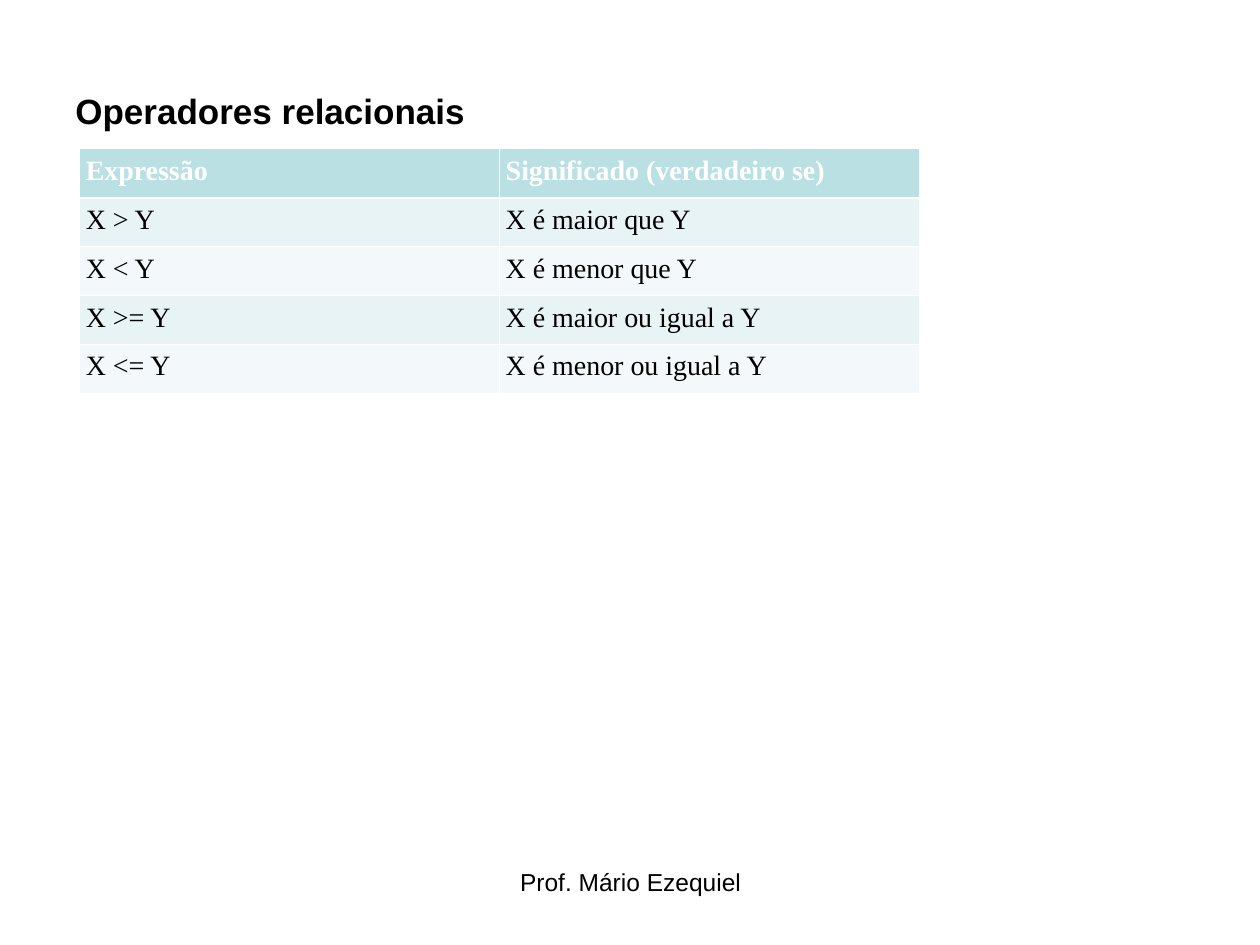
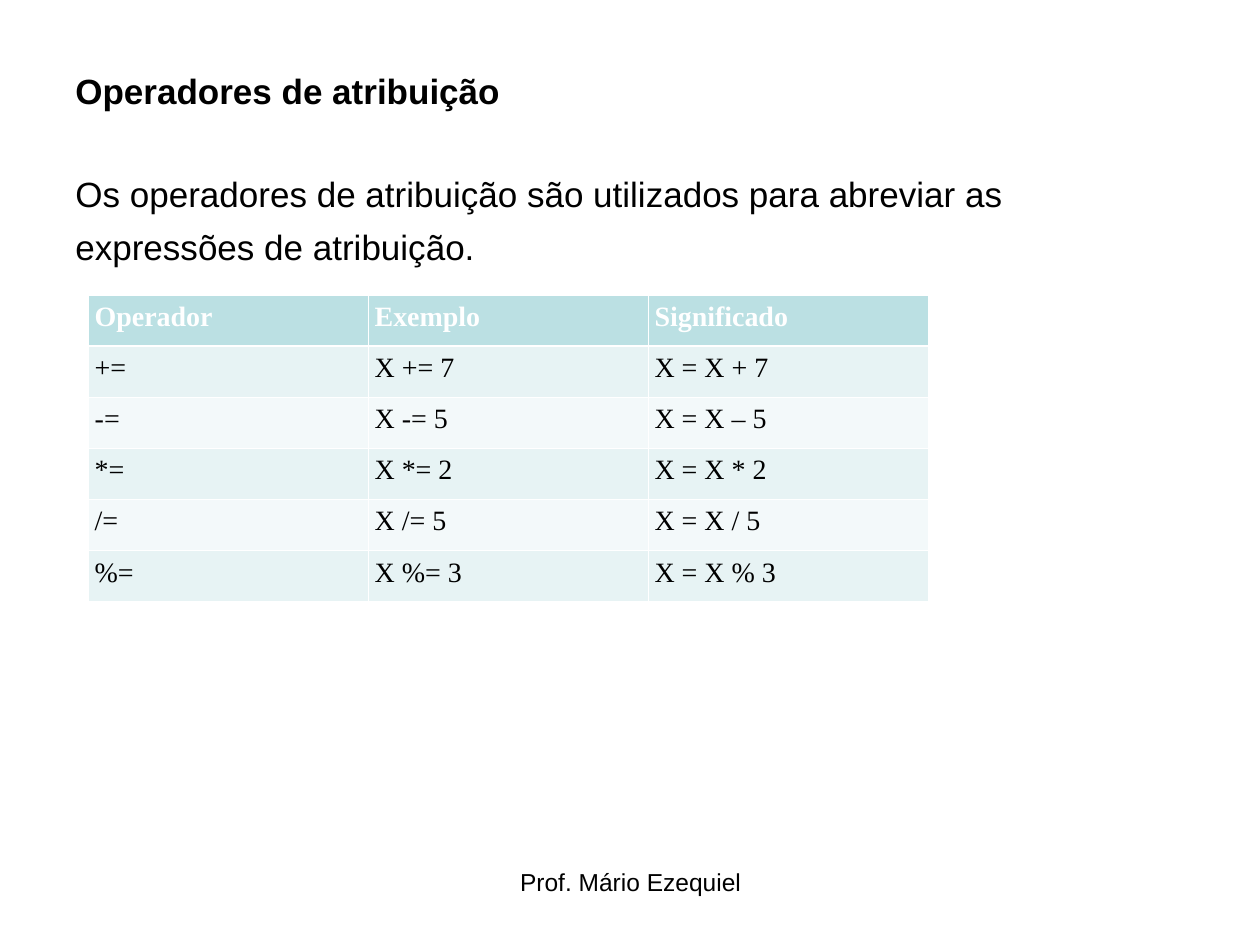
"""Build two slides that tabulate relational and assignment operators."""
from dataclasses import dataclass

from lxml import etree
from pptx import Presentation
from pptx import util as u
from pptx.dml import color
from pptx.enum import text
from pptx.oxml import ns


@dataclass(frozen=True)
class Theme:
    text: str = "000000"
    light: str = "FFFFFF"
    header: str = "BBE0E3"
    bands: tuple = ("E7F3F4", "F3F9FA")
    sans: str = "Arial"
    serif: str = "Times New Roman"
    body_size: int = 20
    table_size: int = 16
    footer_size: int = 14
    thin: float = 0.45
    thick: float = 1.47


class Deck:
    def __init__(self, theme):
        self.theme = theme
        self.presentation = Presentation()
        self.presentation.slide_width = u.Cm(25.4)
        self.presentation.slide_height = u.Cm(19.05)
        self.slide = None

    def set_format(self, target, values):
        for name, value in values.items():
            setattr(target, name, value)

    def add_words(self, paragraph, words, ink, **font_values):
        run = paragraph.add_run()
        run.text = words
        self.set_format(run.font, font_values)
        run.font.color.rgb = color.RGBColor.from_string(ink)

    def add_slide(self):
        self.slide = self.presentation.slides.add_slide(self.presentation.slide_layouts[6])
        self.add_footer("Prof. Mário Ezequiel")

    def add_box(self, left, top, width, height, inset_top):
        box = self.slide.shapes.add_textbox(*map(u.Cm, (left, top, width, height)))
        self.set_format(box.text_frame, {
            "word_wrap": True, "margin_left": u.Cm(0.25), "margin_right": u.Cm(0.25),
            "margin_top": u.Cm(inset_top), "margin_bottom": u.Cm(0.13),
            "vertical_anchor": text.MSO_ANCHOR.TOP})
        return box.text_frame

    def add_footer(self, words):
        paragraph = self.add_box(8.69, 17.35, 8.05, 1.32, 0.13).paragraphs[0]
        paragraph.alignment = text.PP_ALIGN.CENTER
        self.add_words(paragraph, words, self.theme.text,
                       name=self.theme.sans, size=u.Pt(self.theme.footer_size))

    def add_body(self, top, height, title, lines=()):
        frame = self.add_box(1.27, top, 22.86, height, 0.2)
        font = {"name": self.theme.sans, "size": u.Pt(self.theme.body_size)}
        self.add_words(frame.paragraphs[0], title, self.theme.text, bold=True, **font)
        for index, line in enumerate(lines):
            paragraph = frame.add_paragraph()
            paragraph.space_before = u.Pt(6 if index else 35)
            self.add_words(paragraph, line, self.theme.text, bold=False, **font)

    def add_border(self, cell, side, width):
        properties = cell._tc.get_or_add_tcPr()
        line = etree.SubElement(properties, ns.qn(f"a:ln{side}"), w=str(int(u.Pt(width))))
        fill = etree.SubElement(line, ns.qn("a:solidFill"))
        etree.SubElement(fill, ns.qn("a:srgbClr"), val=self.theme.light)

    def format_cell(self, cell, words, row_index):
        theme = self.theme
        is_header = row_index == 0
        self.set_format(cell, dict.fromkeys(
            ("margin_left", "margin_right", "margin_top", "margin_bottom"), u.Cm(0.13)))
        self.add_words(cell.text_frame.paragraphs[0], words,
                       theme.light if is_header else theme.text,
                       name=theme.serif, size=u.Pt(theme.table_size), bold=is_header)
        thick_side = {0: "B", 1: "T"}.get(row_index)
        for side in "LRTB":
            self.add_border(cell, side, theme.thick if side == thick_side else theme.thin)
        cell.fill.solid()
        cell.fill.fore_color.rgb = color.RGBColor.from_string(
            theme.header if is_header else theme.bands[(row_index - 1) % 2])

    def add_table(self, left, top, height, rows):
        table = self.slide.shapes.add_table(
            len(rows), len(rows[0]), *map(u.Cm, (left, top, 16.93, height))).table
        self.set_format(table, {"first_row": True, "horz_banding": False})
        for row_index, row in enumerate(rows):
            for column_index, words in enumerate(row):
                self.format_cell(table.cell(row_index, column_index), words, row_index)


def main():
    deck = Deck(Theme())

    deck.add_slide()
    deck.add_body(1.6, 15.72, "Operadores relacionais")
    deck.add_table(1.6, 3, 4.93, [
        ("Expressão", "Significado (verdadeiro se)"),
        ("X > Y", "X é maior que Y"),
        ("X < Y", "X é menor que Y"),
        ("X >= Y", "X é maior ou igual a Y"),
        ("X <= Y", "X é menor ou igual a Y"),
    ])

    deck.add_slide()
    deck.add_body(1.2, 15.82, "Operadores de atribuição", [
        "Os operadores de atribuição são utilizados para abreviar as",
        "expressões de atribuição.",
    ])
    deck.add_table(1.78, 5.95, 6.18, [
        ("Operador", "Exemplo", "Significado"),
        ("+=", "X += 7", "X = X + 7"),
        ("-=", "X -= 5", "X = X – 5"),
        ("*=", "X *= 2", "X = X * 2"),
        ("/=", "X /= 5", "X = X / 5"),
        ("%=", "X %= 3", "X = X % 3"),
    ])

    deck.presentation.save("out.pptx")


if __name__ == "__main__":
    main()
